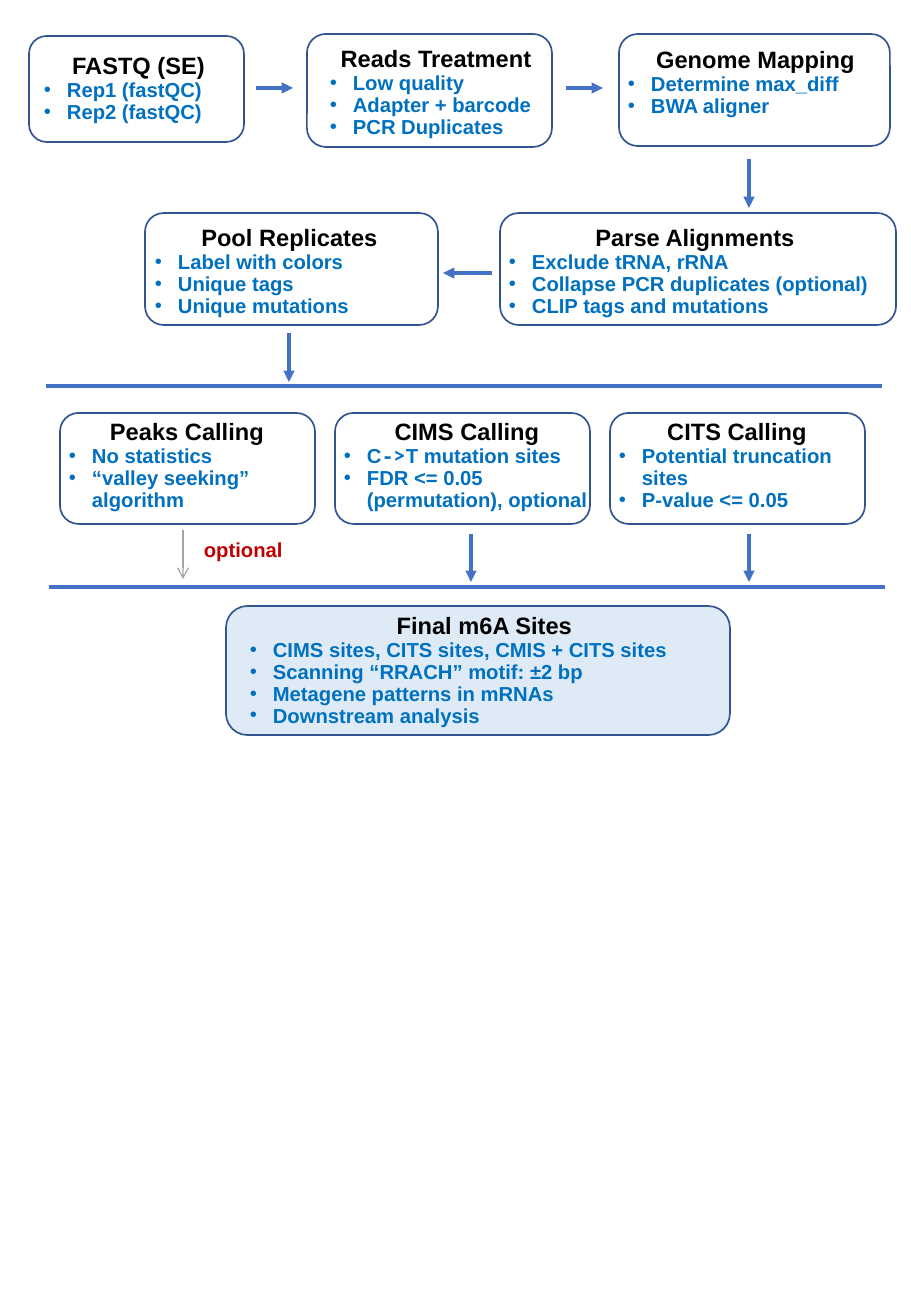
from lxml import etree
from pptx import Presentation
from pptx import util as u
from pptx.dml.color import RGBColor
from pptx.enum import shapes, text
from pptx.oxml import ns

EMU_PER_PIXEL = 914400 / 121.5
FONT, CODE_FONT = "Arial", "Noto Sans Mono"
BLACK, BLUE, RED, GREY = "000000", "0070C0", "C00000", "A5A5A5"
OUTLINE, ARROW, PALE = "325491", "4472C4", "DEEBF7"


def px(*lengths):
    return [u.Emu(round(length * EMU_PER_PIXEL)) for length in lengths]


def color(hex_value):
    return RGBColor.from_string(hex_value)


def add_child(parent, tag, **attributes):
    return etree.SubElement(parent, ns.qn(tag), **attributes)


def format_runs(paragraph, size, hex_value):
    for run in paragraph.runs:
        run.font.name = CODE_FONT if run.text == "->" else FONT
        run.font.size = u.Pt(size)
        run.font.bold = True
        run.font.color.rgb = color(hex_value)


def add_text_box(parent, box, wrap=True):
    frame = parent.add_textbox(*px(*box)).text_frame
    frame.word_wrap = wrap
    frame.auto_size = text.MSO_AUTO_SIZE.SHAPE_TO_FIT_TEXT
    return frame


def add_bullet(frame, line):
    paragraph = frame.add_paragraph()
    for part in filter(None, line.partition("->")):
        paragraph.add_run().text = part
    format_runs(paragraph, 12, BLUE)
    paragraph.line_spacing = u.Pt(13)
    properties = paragraph._p.get_or_add_pPr()
    indent = px(23)[0]
    properties.set("marL", str(indent))
    properties.set("indent", str(-indent))
    add_child(properties, "a:buFont", typeface=FONT)
    add_child(properties, "a:buChar", char="•")


def add_step(slide, box, text_offset, text_size, title, bullets, fill=None):
    """Rounded frame with a centred title and a bullet list."""
    group = slide.shapes.add_group_shape()
    frame = group.shapes.add_shape(shapes.MSO_SHAPE.ROUNDED_RECTANGLE, *px(*box))
    frame.shadow.inherit = False
    frame.line.color.rgb = color(OUTLINE)
    frame.line.width = u.Pt(1)
    if fill:
        frame.fill.solid()
        frame.fill.fore_color.rgb = color(fill)
    else:
        frame.fill.background()

    left, top = box[0] + text_offset[0], box[1] + text_offset[1]
    text_frame = add_text_box(group.shapes, (left, top, *text_size))
    text_frame.text = title
    heading = text_frame.paragraphs[0]
    heading.alignment = text.PP_ALIGN.CENTER
    format_runs(heading, 14, BLACK)
    for line in bullets:
        add_bullet(text_frame, line)


def add_line(slide, start, end, width=2.25, head="triangle", hex_value=ARROW):
    connector = slide.shapes.add_connector(
        shapes.MSO_CONNECTOR.STRAIGHT, *px(*start, *end))
    connector.line.color.rgb = color(hex_value)
    connector.line.width = u.Pt(width)
    if head:
        add_child(connector.line._get_or_add_ln(), "a:tailEnd", type=head)
    add_child(connector._element.spPr, "a:effectLst")


def add_preparation(slide, left, top):
    """Reads, mapping and pooling: two rows of steps."""
    add_step(slide, (left, top + 2, 215, 106), (3, 9), (213, 98),
             "FASTQ (SE)", ["Rep1 (fastQC)", "Rep2 (fastQC)"])
    add_step(slide, (left + 278, top, 245, 113), (11, 4), (236, 107),
             "Reads Treatment",
             ["Low quality", "Adapter + barcode", "PCR Duplicates"])
    add_step(slide, (left + 590, top, 271, 112), (-3, 5), (279, 85),
             "Genome Mapping", ["Determine max_diff", "BWA aligner"])
    add_step(slide, (left + 471, top + 179, 396, 112), (-3, 4), (396, 107),
             "Parse Alignments",
             ["Exclude tRNA, rRNA", "Collapse PCR duplicates (optional)",
              "CLIP tags and mutations"])
    add_step(slide, (left + 116, top + 179, 293, 112), (-2, 4), (293, 107),
             "Pool Replicates",
             ["Label with colors", "Unique tags", "Unique mutations"])

    for start in (left + 227, left + 537):
        add_line(slide, (start, top + 54), (start + 37, top + 54))
    add_line(slide, (left + 463, top + 239), (left + 414, top + 239))
    for x, y in ((left + 720, top + 125), (left + 260, top + 299)):
        add_line(slide, (x, y), (x, y + 49))


def add_calling(slide, left, top):
    """Three parallel calling steps between two rules."""
    steps = [
        ("Peaks Calling", ["No statistics", "“valley seeking” algorithm"], 260),
        ("CIMS Calling", ["C->T mutation sites",
                          "FDR <= 0.05 (permutation), optional"], 270),
        ("CITS Calling", ["Potential truncation sites", "P-value <= 0.05"], 260),
    ]
    for column, (title, bullets, text_width) in enumerate(steps):
        add_step(slide, (left + 275 * column, top, 255, 111), (-3, -2),
                 (text_width, 107), title, bullets)

    # Rules above and below the steps
    for x, y in ((left - 14, top - 27), (left - 11, top + 174)):
        add_line(slide, (x, y), (x + 836, y), head=None)

    # Arrows to the lower rule
    for x in (left + 411, left + 689):
        add_line(slide, (x, top + 121), (x, top + 169))
    add_line(slide, (left + 123, top + 117), (left + 123, top + 166),
             0.75, "arrow", GREY)
    label = add_text_box(slide.shapes, (left + 132, top + 118, 104, 37), wrap=False)
    label.text = "optional"
    format_runs(label.paragraphs[0], 12, RED)


def add_result(slide, left, top):
    """Final sites."""
    add_step(slide, (left, top, 504, 129), (12, -1), (493, 130),
             "Final m6A Sites",
             ["CIMS sites, CITS sites, CMIS + CITS sites",
              "Scanning “RRACH” motif: ±2 bp",
              "Metagene patterns in mRNAs", "Downstream analysis"], PALE)


presentation = Presentation()
presentation.slide_width, presentation.slide_height = px(911, 1316)
slide = presentation.slides.add_slide(presentation.slide_layouts[6])
add_preparation(slide, 29, 34)
add_calling(slide, 60, 413)
add_result(slide, 226, 606)
presentation.save("out.pptx")
